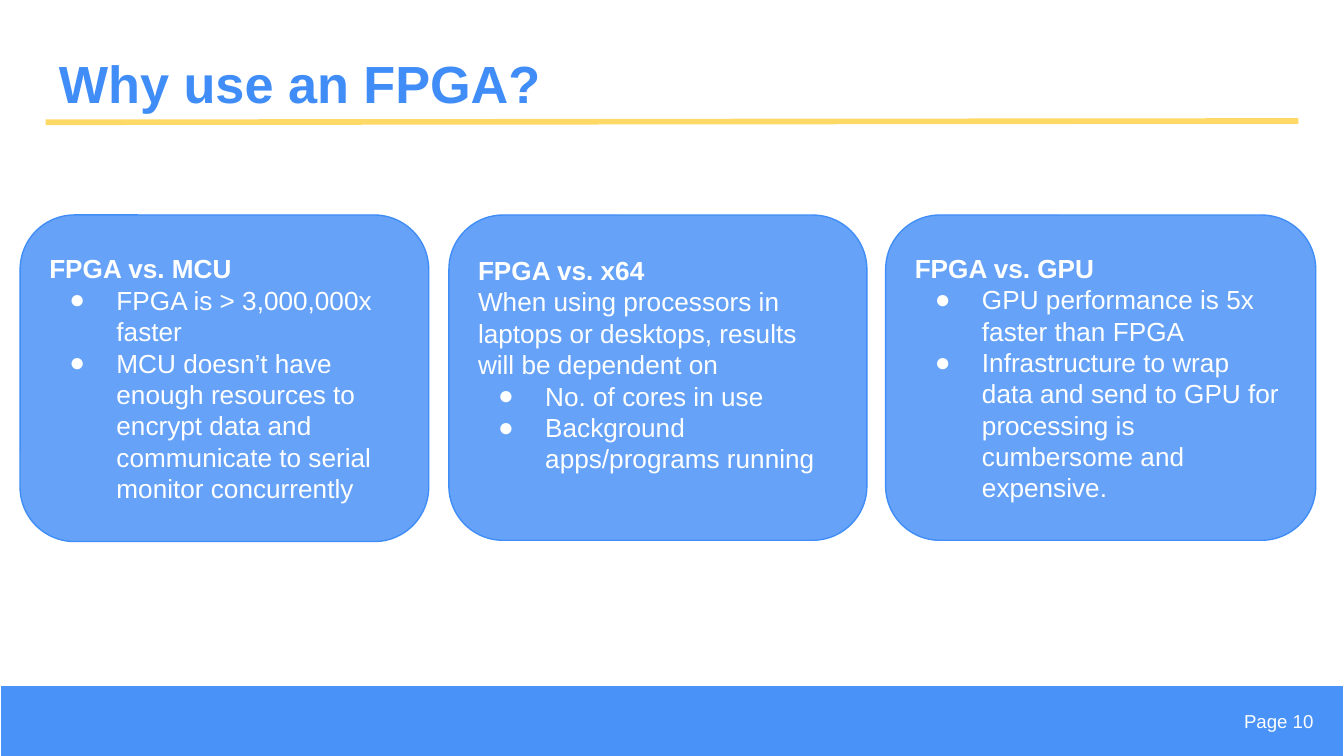
from dataclasses import dataclass

from lxml import etree
from pptx import Presentation
from pptx.dml.color import RGBColor
from pptx.enum.shapes import MSO_CONNECTOR, MSO_SHAPE
from pptx.enum.text import MSO_ANCHOR, PP_ALIGN
from pptx.oxml.ns import qn
from pptx.util import Inches, Pt

STRAIGHT = MSO_CONNECTOR.STRAIGHT
RECTANGLE = MSO_SHAPE.RECTANGLE
ROUNDED = MSO_SHAPE.ROUNDED_RECTANGLE
TOP, MIDDLE = MSO_ANCHOR.TOP, MSO_ANCHOR.MIDDLE
LEFT, RIGHT = PP_ALIGN.LEFT, PP_ALIGN.RIGHT

FONT = "Arial"
COLORS = {"blue": "408DF7", "yellow": "FFD966", "white": "FFFFFF"}


@dataclass
class Card:
    left: float
    width: float
    height: float
    heading: str
    bullets: list[str]
    intro: str = ""
    bottom_inset: float = 0.1


CARDS = [
    Card(0.15, 3.04, 2.43, "FPGA vs. MCU", [
        "FPGA is > 3,000,000x faster",
        "MCU doesn’t have enough resources to encrypt data and "
        "communicate to serial monitor concurrently",
    ]),
    Card(3.34, 3.11, 2.42, "FPGA vs. x64", [
        "No. of cores in use",
        "Background apps/programs running",
    ], "When using processors in laptops or desktops, results will be dependent on", 0.3),
    Card(6.59, 3.2, 2.42, "FPGA vs. GPU", [
        "GPU performance is 5x faster than FPGA",
        "Infrastructure to wrap data and send to GPU for processing is "
        "cumbersome and expensive.",
    ]),
]


def rgb(name: str) -> RGBColor:
    return RGBColor.from_string(COLORS[name])


def add_panel(slide, kind, left: float, top: float, width: float, height: float,
              opacity: int, line: str):
    panel = slide.shapes.add_shape(
        kind, Inches(left), Inches(top), Inches(width), Inches(height))
    panel.shadow.inherit = False
    panel.fill.solid()
    panel.fill.fore_color.rgb = rgb("blue")
    color = panel._element.spPr.find(qn("a:solidFill"))[0]
    etree.SubElement(color, qn("a:alpha"), val=str(opacity * 1000))
    panel.line.color.rgb = rgb(line)
    panel.line.width = Pt(0.75)
    return panel


def prepare_frame(frame, anchor, bottom_inset: float = 0.1) -> None:
    frame.word_wrap = True
    frame.vertical_anchor = anchor
    frame.margin_left = frame.margin_right = frame.margin_top = Inches(0.1)
    frame.margin_bottom = Inches(bottom_inset)


def write(para, text: str, size: int, color: str = "white",
          bold: bool = False, align=LEFT) -> None:
    para.text = text
    para.alignment = align
    para.font.name = FONT
    para.font.size = Pt(size)
    para.font.bold = bold
    para.font.color.rgb = rgb(color)


def add_bullet(para) -> None:
    properties = para._p.get_or_add_pPr()
    properties.set("marL", str(Inches(0.5)))
    properties.set("indent", str(Inches(-0.35)))
    color = etree.SubElement(properties, qn("a:buClr"))
    etree.SubElement(color, qn("a:srgbClr"), val=COLORS["white"])
    etree.SubElement(properties, qn("a:buFont"), typeface=FONT)
    etree.SubElement(properties, qn("a:buChar"), char="●")


def add_label(slide, left: float, top: float, width: float, height: float,
              text: str, size: int, color: str, bold: bool, anchor, align) -> None:
    box = slide.shapes.add_textbox(
        Inches(left), Inches(top), Inches(width), Inches(height))
    prepare_frame(box.text_frame, anchor)
    write(box.text_frame.paragraphs[0], text, size, color, bold, align)


def add_card(slide, card: Card) -> None:
    panel = add_panel(slide, ROUNDED, card.left, 1.6, card.width, card.height, 80, "blue")
    frame = panel.text_frame
    prepare_frame(frame, MIDDLE, card.bottom_inset)
    write(frame.paragraphs[0], card.heading, 14, bold=True)
    if card.intro:
        write(frame.add_paragraph(), card.intro, 14)
    for bullet in card.bullets:
        para = frame.add_paragraph()
        add_bullet(para)
        write(para, bullet, 14)


def add_rule(slide) -> None:
    rule = slide.shapes.add_connector(
        STRAIGHT, Inches(0.34), Inches(0.91), Inches(9.66), Inches(0.9))
    rule.line.color.rgb = rgb("yellow")
    rule.line.width = Pt(3)
    etree.SubElement(rule._element.spPr, qn("a:effectLst"))


def main() -> None:
    deck = Presentation()
    deck.slide_width = Inches(10)
    deck.slide_height = deck.slide_width * 9 // 16
    page = deck.slides.add_slide(deck.slide_layouts[6])
    add_panel(page, RECTANGLE, 0, 5.1, 10, 0.54, 95, "white")
    add_label(page, 0.34, 0.28, 9.32, 0.63, "Why use an FPGA?",
              28, "blue", True, TOP, LEFT)
    add_rule(page)
    add_label(page, 9.12, 5.15, 0.75, 0.43, "Page 10",
              10, "white", False, MIDDLE, RIGHT)
    for card in CARDS:
        add_card(page, card)
    deck.save("out.pptx")


if __name__ == "__main__":
    main()
